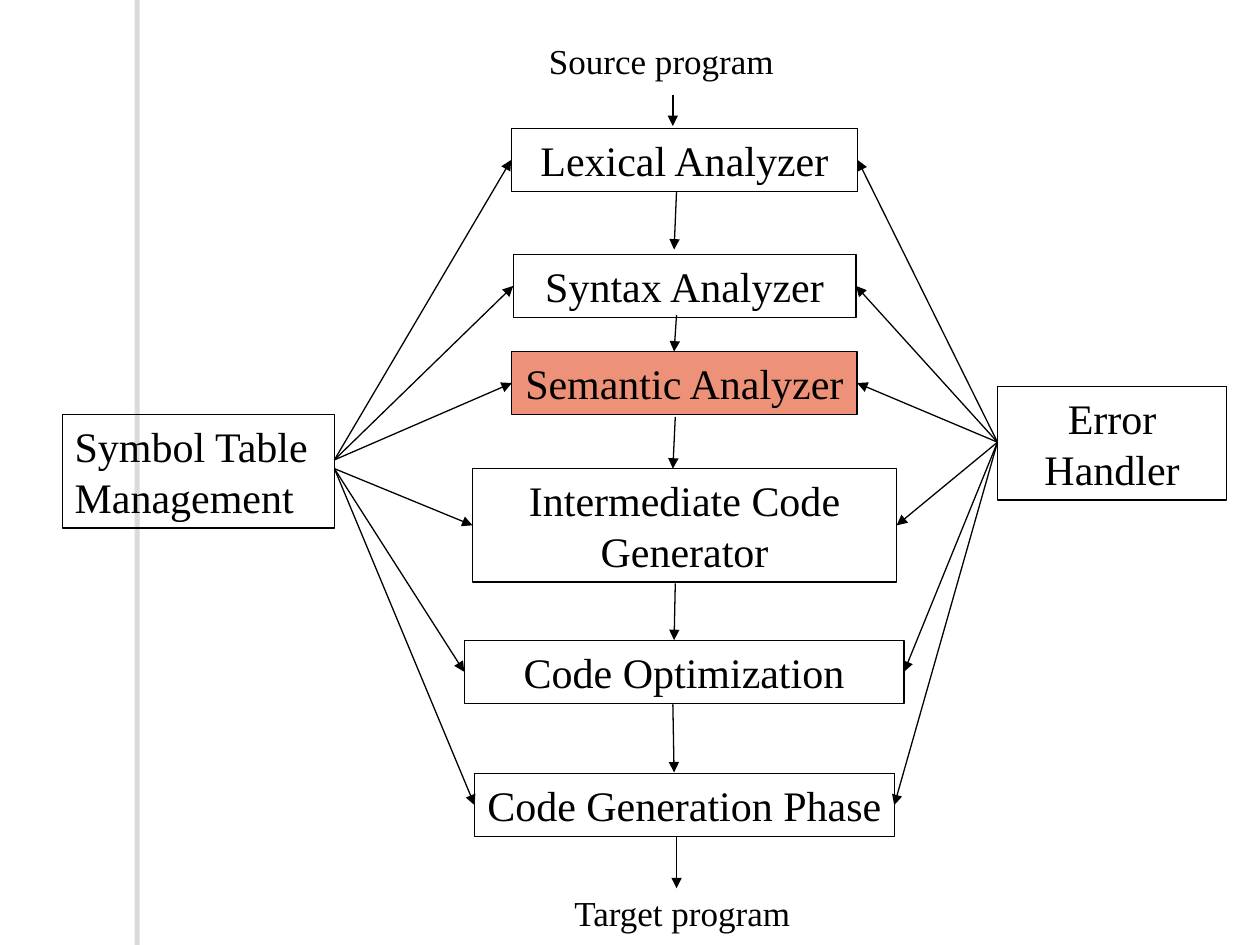
"""Build a slide showing the phases of a compiler and their shared services."""
from dataclasses import dataclass

import pptx
import pptx.dml.color
import pptx.enum.shapes
import pptx.enum.text
import pptx.oxml
import pptx.oxml.ns
import pptx.util

Pt = pptx.util.Pt
ALIGN = pptx.enum.text.PP_ALIGN
COLORS = {"ink": "000000", "highlight": "ED9279", "rule": "DBDAD7"}
FONT = {"name": "Times New Roman", "bold": False}
FRAME = {
    "margin_left": Pt(7.2), "margin_right": Pt(7.2),
    "margin_top": Pt(3.6), "margin_bottom": Pt(3.6),
    "vertical_anchor": pptx.enum.text.MSO_ANCHOR.TOP,
}


@dataclass(frozen=True)
class Box:
    text: str
    left: float
    top: float
    width: float
    height: float = 36
    fill: str = ""
    align: ALIGN = ALIGN.CENTER
    wraps: bool = False

    @property
    def right(self) -> float:
        return self.left + self.width

    @property
    def middle(self) -> float:
        return self.top + self.height / 2


@dataclass(frozen=True)
class Arrow:
    x1: float
    y1: float
    x2: float
    y2: float


PHASES = [
    Box("Lexical Analyzer", 292.1, 73.4, 198),
    Box("Syntax Analyzer", 293.3, 145.4, 195.8),
    Box("Semantic Analyzer", 292.5, 200.9, 197.3, fill="highlight"),
    Box("Intermediate Code Generator", 270, 267.8, 242.4, 64.8, wraps=True),
    Box("Code Optimization", 265.3, 365.9, 251.3),
    Box("Code Generation Phase", 271.2, 442.1, 239.8),
]
SYMBOL_TABLE = Box("Symbol Table\nManagement", 35.6, 236.9, 155.5, 64.8, align=ALIGN.LEFT)
ERROR_HANDLER = Box("Error Handler", 570, 221, 131, 64.8, wraps=True)
ENDPOINTS = [
    Box("Source program", 306.6, 19, 156, 31.7, align=ALIGN.LEFT, wraps=True),
    Box("Target program", 321.1, 505.8, 156, 31.7, align=ALIGN.LEFT, wraps=True),
]
FLOW = [
    Arrow(384.5, 54, 384.5, 72),
    Arrow(386.6, 109.4, 385.2, 142.6),
    Arrow(386.6, 180, 385.2, 200.9),
    Arrow(385.9, 238.3, 384.5, 267.8),
    Arrow(385.9, 333.4, 385.2, 365.8),
    Arrow(384.5, 402.5, 385.2, 441.4),
    Arrow(386.6, 478.1, 386.6, 507.6),
]


def color(key: str) -> pptx.dml.color.RGBColor:
    """Return the named palette colour."""
    return pptx.dml.color.RGBColor.from_string(COLORS[key])


def apply(target, values: dict) -> None:
    """Set each attribute in values on target."""
    for attribute, value in values.items():
        setattr(target, attribute, value)


def write_text(frame, box: Box, size: float) -> None:
    """Fill a text frame with the wording of a box."""
    apply(frame, {**FRAME, "word_wrap": box.wraps})
    frame.text = box.text
    for paragraph in frame.paragraphs:
        paragraph.alignment = box.align
        for run in paragraph.runs:
            apply(run.font, {**FONT, "size": Pt(size)})
            run.font.color.rgb = color("ink")


def add_rectangle(slide, left: float, top: float, width: float, height: float, fill: str):
    """Draw a shadowless rectangle, unfilled when fill is empty."""
    rectangle = slide.shapes.add_shape(
        pptx.enum.shapes.MSO_SHAPE.RECTANGLE, Pt(left), Pt(top), Pt(width), Pt(height))
    rectangle.shadow.inherit = False
    if fill:
        rectangle.fill.solid()
        rectangle.fill.fore_color.rgb = color(fill)
    else:
        rectangle.fill.background()
    return rectangle


def add_box(slide, box: Box) -> None:
    """Draw an outlined box with its text."""
    outlined = add_rectangle(slide, box.left, box.top, box.width, box.height, box.fill)
    outlined.line.color.rgb = color("ink")
    outlined.line.width = Pt(0.75)
    write_text(outlined.text_frame, box, 24)


def add_endpoint(slide, box: Box) -> None:
    """Write an unframed program label."""
    label = slide.shapes.add_textbox(Pt(box.left), Pt(box.top), Pt(box.width), Pt(box.height))
    write_text(label.text_frame, box, 20)


def add_arrow(slide, arrow: Arrow) -> None:
    """Draw a thin line with a triangular head at its end."""
    connector = slide.shapes.add_connector(
        pptx.enum.shapes.MSO_CONNECTOR.STRAIGHT,
        Pt(arrow.x1), Pt(arrow.y1), Pt(arrow.x2), Pt(arrow.y2))
    connector.line.color.rgb = color("ink")
    connector.line.width = Pt(0.75)
    head = pptx.oxml.parse_xml(f'<a:tailEnd {pptx.oxml.ns.nsdecls("a")} type="triangle"/>')
    connector.get_or_add_ln().append(head)
    no_effects = pptx.oxml.parse_xml(f'<a:effectLst {pptx.oxml.ns.nsdecls("a")}/>')
    connector._element.spPr.append(no_effects)


def service_arrows() -> list[Arrow]:
    """Link both services to the near edge of every phase."""
    arrows = []
    for index, phase in enumerate(PHASES):
        symbol_y = 262.8 if index < 3 else 267.8
        arrows.append(Arrow(SYMBOL_TABLE.right, symbol_y, phase.left, phase.middle))
        arrows.append(Arrow(ERROR_HANDLER.left, 252.7, phase.right, phase.middle))
    return arrows


def main() -> None:
    """Assemble and save the slide."""
    presentation = pptx.Presentation()
    apply(presentation, {"slide_width": Pt(720), "slide_height": Pt(540)})
    slide = presentation.slides.add_slide(presentation.slide_layouts[6])
    margin_rule = add_rectangle(slide, 76.9, 0, 3, 540, "rule")
    margin_rule.line.fill.background()
    for box in [*PHASES, SYMBOL_TABLE, ERROR_HANDLER]:
        add_box(slide, box)
    for endpoint in ENDPOINTS:
        add_endpoint(slide, endpoint)
    for arrow in FLOW + service_arrows():
        add_arrow(slide, arrow)
    presentation.save("out.pptx")


if __name__ == "__main__":
    main()
